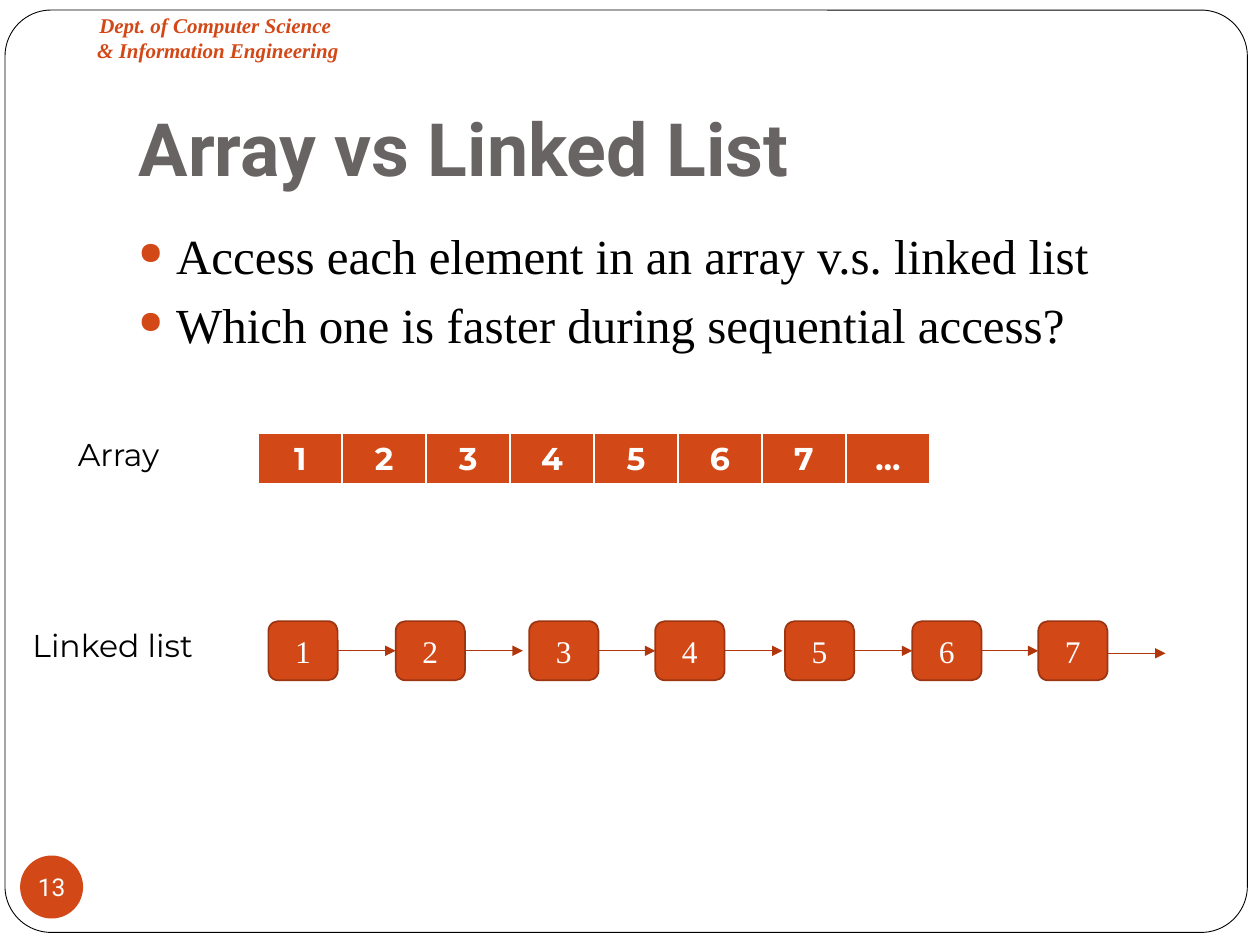
from collections import namedtuple
from copy import deepcopy
from dataclasses import dataclass

from lxml import etree
from pptx import Presentation
from pptx import util as u
from pptx.dml.color import RGBColor
from pptx.enum import shapes, text
from pptx.oxml.ns import qn

SCALE = 9144  # EMU per px, at 100 px to the inch
Box = namedtuple("Box", "left top width height")
LEFT, CENTER = text.PP_ALIGN.LEFT, text.PP_ALIGN.CENTER
TOP, MIDDLE, BOTTOM = (text.MSO_ANCHOR.TOP, text.MSO_ANCHOR.MIDDLE,
                       text.MSO_ANCHOR.BOTTOM)
FIXED, GROW = text.MSO_AUTO_SIZE.NONE, text.MSO_AUTO_SIZE.SHAPE_TO_FIT_TEXT


@dataclass(frozen=True)
class Theme:
    accent: str = "D34817"
    node_edge: str = "9C3511"
    arrow: str = "B1360B"
    heading: str = "696464"
    ink: str = "000000"
    paper: str = "FFFFFF"
    serif: str = "Times New Roman"
    sans: str = "Montserrat"
    display: str = "Roboto"
    title_size: int = 42
    body_size: int = 28
    label_size: int = 18
    number_size: int = 14
    header_size: int = 12


THEME = Theme()


def px(length):
    return u.Emu(round(length * SCALE))


def emu(box):
    return [px(length) for length in box]


def rgb(color):
    return RGBColor.from_string(color)


def write(frame, *lines, size=THEME.label_size, font=THEME.serif, color=THEME.ink,
          bold=False, italic=False, align=LEFT, anchor=TOP, wrap=True,
          fit=FIXED, insets=(10, 5, 10, 5), before=0):
    """Fill a text frame with one paragraph per line; \\v breaks a line."""
    frame.word_wrap, frame.auto_size, frame.vertical_anchor = wrap, fit, anchor
    (frame.margin_left, frame.margin_top,
     frame.margin_right, frame.margin_bottom) = emu(insets)
    for index, line in enumerate(lines):
        para = frame.add_paragraph() if index else frame.paragraphs[0]
        para.text, para.alignment, para.space_before = line, align, u.Pt(before)
        for span in para.runs:
            span.font.size, span.font.name = u.Pt(size), font
            span.font.bold, span.font.italic = bold, italic
            span.font.color.rgb = rgb(color)
        for line_break in para._p.findall(qn("a:br")):
            line_break.append(deepcopy(para.runs[0]._r.rPr))


def add_text(page, box, *lines, **style):
    holder = page.shapes.add_textbox(*emu(box))
    write(holder.text_frame, *lines, **style)
    return holder


def add_block(page, kind, box, fill, line=None, width=1):
    block = page.shapes.add_shape(kind, *emu(box))
    block.shadow.inherit = False
    block.fill.solid()
    block.fill.fore_color.rgb = rgb(fill)
    if line:
        block.line.color.rgb = rgb(line)
        block.line.width = u.Pt(width)
    else:
        block.line.fill.background()
    return block


def add_bullet(para, indent):
    props = para._p.get_or_add_pPr()
    props.set("marL", str(px(indent)))
    props.set("indent", str(-px(indent)))
    color = etree.SubElement(props, qn("a:buClr"))
    etree.SubElement(color, qn("a:srgbClr"), val=THEME.accent)
    etree.SubElement(props, qn("a:buSzPct"), val="64000")
    etree.SubElement(props, qn("a:buChar"), char="●")


def add_arrow(page, start, end):
    arrow = page.shapes.add_connector(shapes.MSO_CONNECTOR.STRAIGHT,
                                      *emu(start), *emu(end))
    arrow.line.color.rgb = rgb(THEME.arrow)
    arrow.line.width = u.Pt(0.75)
    etree.SubElement(arrow.line._get_or_add_ln(), qn("a:tailEnd"), type="triangle")
    etree.SubElement(arrow._element.spPr, qn("a:effectLst"))
    return arrow


def set_borders(cell, **widths):
    props = cell._tc.get_or_add_tcPr()
    for index, (side, width) in enumerate(widths.items()):
        line = etree.Element(qn(f"a:{side}"), w=str(u.Pt(width)))
        fill = etree.SubElement(line, qn("a:solidFill"))
        etree.SubElement(fill, qn("a:srgbClr"), val=THEME.paper)
        props.insert(index, line)


def draw_frame(page, box):
    """Rounded page border, behind everything, with the department header on it."""
    border = add_block(page, shapes.MSO_SHAPE.ROUNDED_RECTANGLE, box,
                       THEME.paper, THEME.ink, 0.5)
    border.adjustments[0] = 0.05
    page.shapes.title._element.addprevious(border._element)
    add_text(page, Box(box.left + 55, box.top - 3, 228, 50),
             "Dept. of Computer Science \v& Information Engineering",
             size=THEME.header_size, color=THEME.accent, bold=True, italic=True,
             align=CENTER, fit=GROW)


def draw_title(page, box, title):
    holder = page.shapes.title
    holder.left, holder.top, holder.width, holder.height = emu(box)
    write(holder.text_frame, title, size=THEME.title_size, font=THEME.display,
          color=THEME.heading, bold=True, anchor=BOTTOM, insets=(10, 5, 10, 10))


def draw_bullets(page, box, *lines):
    holder = add_text(page, box, *lines, size=THEME.body_size, before=5.8)
    for para in holder.text_frame.paragraphs:
        add_bullet(para, 30)


def draw_page_number(page, box, number):
    badge = add_block(page, shapes.MSO_SHAPE.OVAL, box, THEME.accent)
    write(badge.text_frame, number, size=THEME.number_size, font=THEME.display,
          color=THEME.paper, align=CENTER, anchor=MIDDLE, wrap=False,
          insets=(0, 0, 0, 0))


def draw_label(page, box, label):
    add_text(page, box, label, font=THEME.sans, wrap=False, fit=GROW)


def draw_array(page, box, values):
    table = page.shapes.add_table(1, len(values), *emu(box)).table
    table.first_row = table.horz_banding = False
    for column, cell, value in zip(table.columns, table.rows[0].cells, values):
        column.width = px(box.width / len(values))
        cell.fill.solid()
        cell.fill.fore_color.rgb = rgb(THEME.accent)
        set_borders(cell, lnL=1, lnR=1, lnT=1, lnB=3)
        write(cell.text_frame, value, font=THEME.sans, color=THEME.paper,
              bold=True, align=CENTER)


def draw_linked_list(page, box, offsets, node_width=55, arrow_length=46):
    """Numbered nodes at the given offsets; an arrow joins a node within its reach."""
    lefts = [box.left + offset for offset in offsets]
    nodes = []
    for number, left in enumerate(lefts, 1):
        node = add_block(page, shapes.MSO_SHAPE.ROUNDED_RECTANGLE,
                         Box(left, box.top, node_width, box.height),
                         THEME.accent, THEME.node_edge)
        write(node.text_frame, str(number), color=THEME.paper, align=CENTER,
              anchor=MIDDLE)
        nodes.append(node)
    middle = box.top + box.height / 2
    for index, left in enumerate(lefts[:-1]):
        start = left + node_width
        arrow = add_arrow(page, (start, middle), (start + arrow_length, middle))
        arrow.begin_connect(nodes[index], 3)
        if lefts[index + 1] - start <= arrow_length:
            arrow.end_connect(nodes[index + 1], 1)
    start = lefts[-1] + node_width
    add_arrow(page, (start, middle + 2), (start + arrow_length, middle + 2))


def main():
    deck = Presentation()
    deck.slide_width, deck.slide_height = px(1000), px(750)
    page = deck.slides.add_slide(deck.slide_layouts[5])
    draw_frame(page, Box(4, 8, 986, 732))
    draw_title(page, Box(100, 51, 850, 111), "Array vs Linked List")
    draw_bullets(page, Box(100, 174, 850, 154),
                 "Access each element in an array v.s. linked list",
                 "Which one is faster during sequential access?")
    draw_page_number(page, Box(16, 679, 50, 50), "13")
    draw_label(page, Box(52, 340, 96, 40), "Array")
    draw_array(page, Box(205, 344, 533, 41), "1234567…")
    draw_label(page, Box(16, 492, 164, 40), "Linked list")
    draw_linked_list(page, Box(213, 493, 666, 47),
                     (0, 101, 207, 307, 410, 511, 611))
    deck.save("out.pptx")


if __name__ == "__main__":
    main()
